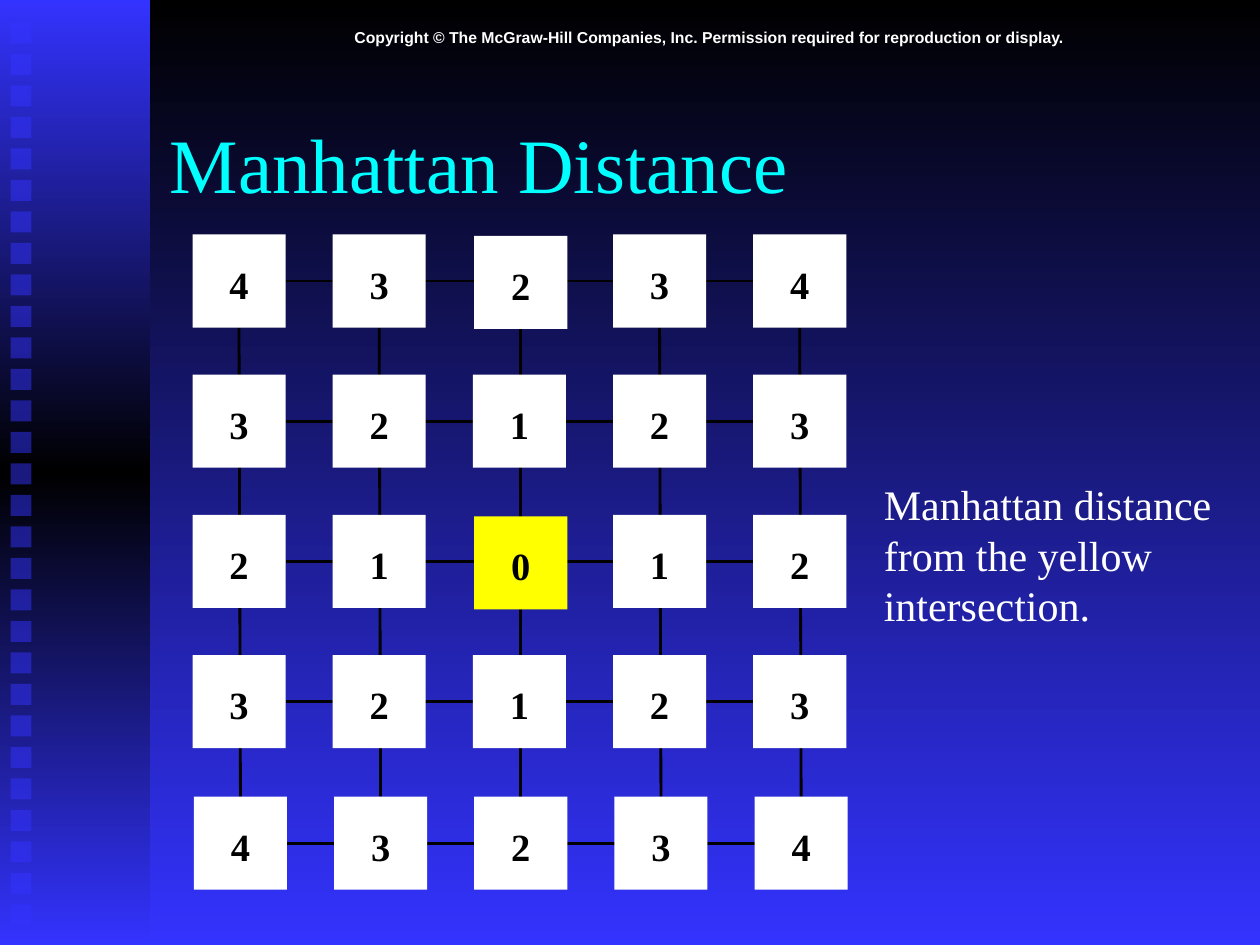
from copy import deepcopy
from dataclasses import dataclass

from lxml.etree import SubElement
from pptx import Presentation
from pptx.dml.color import RGBColor
from pptx.dml.fill import FillFormat
from pptx.enum.shapes import MSO_CONNECTOR as Link, MSO_SHAPE as Shape
from pptx.enum.text import MSO_ANCHOR as Anchor, PP_ALIGN as Align
from pptx.oxml.ns import qn
from pptx.shapes.autoshape import Shape as Box
from pptx.text.text import TextFrame
from pptx.util import Pt

BLACK = RGBColor(0x00, 0x00, 0x00)
BLUE = RGBColor(0x33, 0x33, 0xFF)
CYAN = RGBColor(0x00, 0xFF, 0xFF)
WHITE = RGBColor(0xFF, 0xFF, 0xFF)
YELLOW = RGBColor(0xFF, 0xFF, 0x00)

SERIF = "Times New Roman"
LEFT, TOP, PITCH, SIDE = 110, 134, 80.1, 53.2
COUNT, MID = 5, 2


@dataclass
class Style:
    name: str
    size: float
    color: RGBColor
    bold: bool = False
    align: Align = Align.LEFT


@dataclass
class Label:
    lines: list[str]
    x: float
    y: float
    w: float
    h: float
    style: Style
    anchor: Anchor = Anchor.TOP
    wrap: bool = True


NUMBER = Style(SERIF, 22, BLACK, True, Align.CENTER)
LABELS = [
    Label(
        ["Copyright © The McGraw-Hill Companies, Inc. "
         "Permission required for reproduction or display."],
        90, 12.24, 630, 18,
        Style("Arial", 9, WHITE, True, Align.CENTER),
    ),
    Label(
        ["Manhattan Distance"], 90, 48, 612, 90,
        Style(SERIF, 44, CYAN), Anchor.MIDDLE,
    ),
    Label(
        ["Manhattan distance", "from the yellow", "intersection."],
        498, 270, 201.6, 93.6, Style(SERIF, 24, WHITE), wrap=False,
    ),
]


def write(frame: TextFrame, lines: list[str], style: Style) -> None:
    look = {"name": style.name, "size": Pt(style.size), "bold": style.bold}
    for i, line in enumerate(lines):
        para = frame.add_paragraph() if i else frame.paragraphs[0]
        para.alignment = style.align
        run = para.add_run()
        run.text = line
        for key, value in look.items():
            setattr(run.font, key, value)
        run.font.color.rgb = style.color


def blend(fill: FillFormat, colors: list[RGBColor]) -> None:
    fill.gradient()
    fill.gradient_angle = 270
    last = fill.gradient_stops[-1]._gs
    for _ in colors[2:]:
        last.addprevious(deepcopy(last))
    for i, (stop, color) in enumerate(zip(fill.gradient_stops, colors)):
        stop.position = i / (len(colors) - 1)
        stop.color.rgb = color


def block(shapes, x: float, y: float, w: float, h: float) -> Box:
    rect = shapes.add_shape(Shape.RECTANGLE, Pt(x), Pt(y), Pt(w), Pt(h))
    rect.shadow.inherit = False
    rect.line.fill.background()
    return rect


def paint(rect: Box, color: RGBColor, alpha: int = 100) -> None:
    rect.fill.solid()
    rect.fill.fore_color.rgb = color
    if alpha < 100:
        tint = rect._element.spPr.find(".//" + qn("a:srgbClr"))
        SubElement(tint, qn("a:alpha")).set("val", str(alpha * 1000))


def band(shapes) -> None:
    blend(block(shapes, 0, 0, 85.7, 540).fill, [BLUE, BLACK, BLUE])
    for i in range(29):
        paint(block(shapes, 6, 12.8 + 18 * i, 12, 12), BLUE, 50)


def label(shapes, item: Label) -> None:
    box = shapes.add_textbox(Pt(item.x), Pt(item.y), Pt(item.w), Pt(item.h))
    frame = box.text_frame
    frame.word_wrap = item.wrap
    frame.vertical_anchor = item.anchor
    write(frame, item.lines, item.style)


def cell(shapes, row: int, col: int) -> Box:
    far = abs(row - MID) + abs(col - MID)
    shift = 0.8 if row == COUNT - 1 or (col == MID and row in (0, MID)) else 0
    rect = block(
        shapes, LEFT + PITCH * col + shift, TOP + PITCH * row + shift, SIDE, SIDE
    )
    paint(rect, WHITE if far else YELLOW)
    frame = rect.text_frame
    frame.vertical_anchor = Anchor.TOP
    margins = {"left": 0, "right": 0, "top": 15, "bottom": 0}
    for side, gap in margins.items():
        setattr(frame, f"margin_{side}", Pt(gap))
    write(frame, [str(far)], NUMBER)
    return rect


def street(shapes, start: Box, end: Box, out: int, into: int, base: Box) -> None:
    line = shapes.add_connector(Link.STRAIGHT, 0, 0, 0, 0)
    line.begin_connect(start, out)
    line.end_connect(end, into)
    line.line.color.rgb = BLACK
    line.line.width = Pt(1.62)
    SubElement(line._element.spPr, qn("a:effectLst"))
    base._element.addprevious(line._element)


def main() -> None:
    deck = Presentation()
    deck.slide_width, deck.slide_height = Pt(720), Pt(540)
    slide = deck.slides.add_slide(deck.slide_layouts[6])
    shapes = slide.shapes
    blend(slide.background.fill, [BLACK, BLUE])
    band(shapes)
    for item in LABELS:
        label(shapes, item)
    grid = [[cell(shapes, r, c) for c in range(COUNT)] for r in range(COUNT)]
    base = grid[0][0]
    for first, last in zip(grid[0], grid[-1]):
        street(shapes, first, last, 2, 0, base)
    for row in grid:
        street(shapes, row[0], row[-1], 3, 1, base)
    deck.save("out.pptx")


if __name__ == "__main__":
    main()
